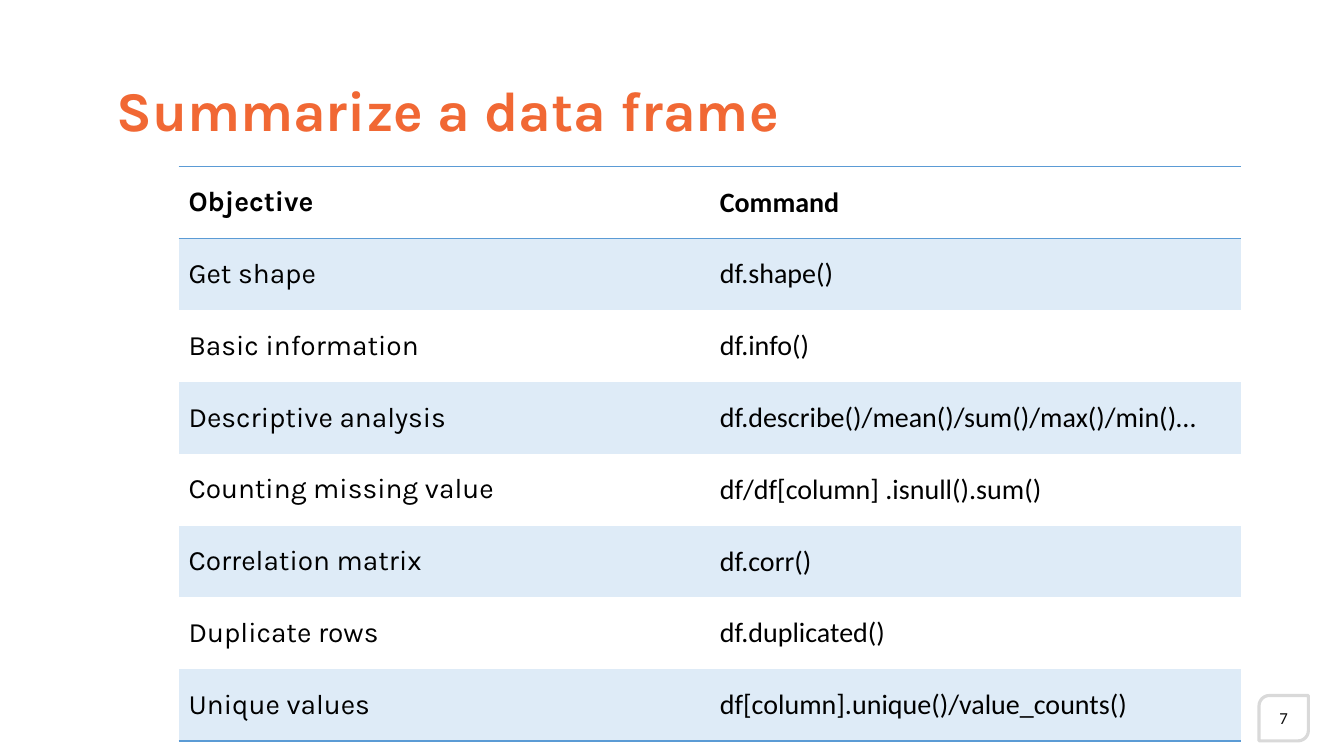
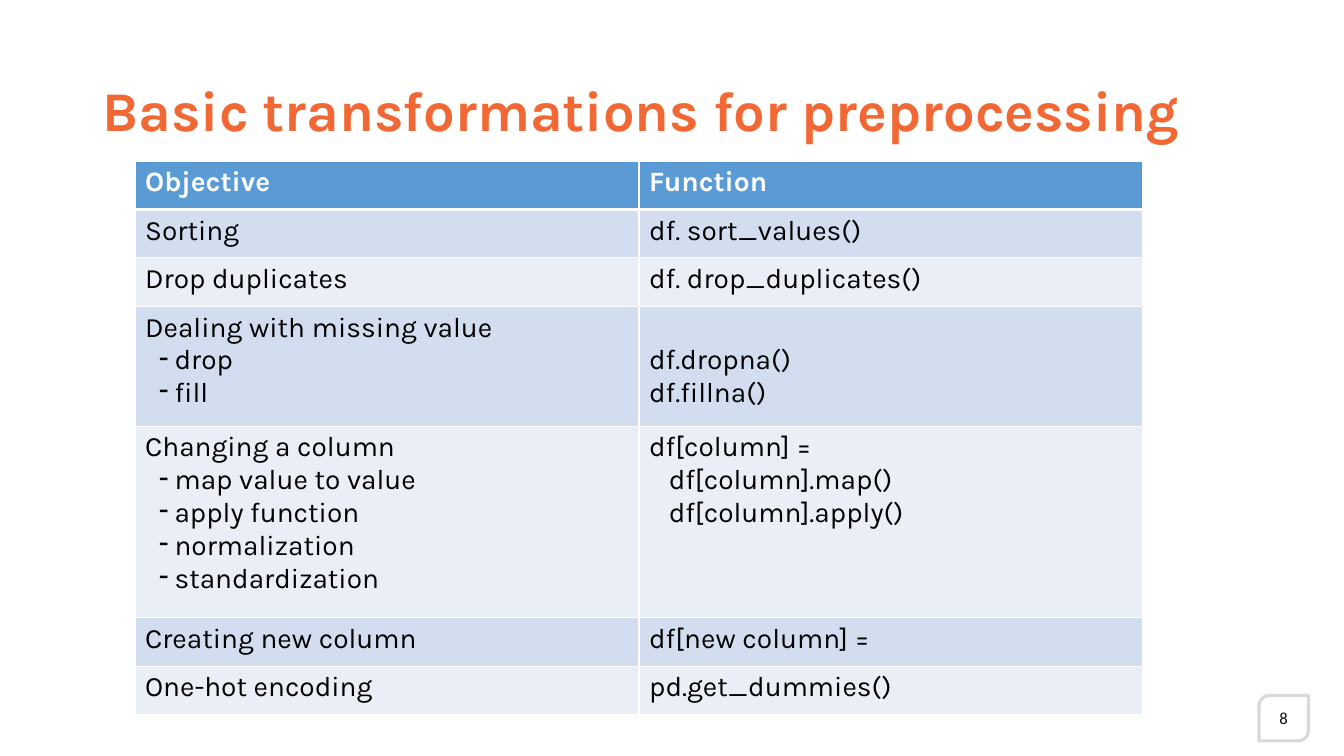
from dataclasses import dataclass

from lxml import etree
from pptx import Presentation
from pptx.dml.color import RGBColor
from pptx.enum.shapes import MSO_SHAPE
from pptx.enum.text import MSO_ANCHOR, PP_ALIGN
from pptx.oxml.ns import qn
from pptx.util import Pt

MIDDLE, TOP = MSO_ANCHOR.MIDDLE, MSO_ANCHOR.TOP
LEFT, CENTER = PP_ALIGN.LEFT, PP_ALIGN.CENTER
BADGE = MSO_SHAPE.ROUND_2_DIAG_RECTANGLE
NO_STYLE = "{2D5ABB26-0587-4C30-8999-92F81FD0307C}"


@dataclass(frozen=True)
class Theme:
    title: str = "F16834"
    text: str = "000000"
    number: str = "0D0D0D"
    badge: str = "D9D9D9"
    accent: str = "5B9BD5"
    pale: str = "DEEBF7"
    band: str = "D2DEEF"
    light: str = "EAEFF7"
    white: str = "FFFFFF"
    head_font: str = "Karla"
    code_font: str = "Calibri"
    title_size: int = 40
    body_size: int = 20
    number_size: int = 12


T = Theme()


def write(tf, lines, font=T.head_font, size=T.body_size, color=T.text,
          bold=False, align=LEFT, spacing=1.0):
    """Fill tf with lines; a (text, kind) line is a "dash" item or an "indent"."""
    lines = [lines] if isinstance(lines, str) else lines
    for i, line in enumerate(lines):
        text, kind = (line, None) if isinstance(line, str) else line
        p = tf.paragraphs[0] if i == 0 else tf.add_paragraph()
        p.alignment, p.line_spacing = align, spacing
        r = p.add_run()
        r.text = text
        r.font.name, r.font.size, r.font.bold = font, Pt(size), bold
        r.font.color.rgb = RGBColor.from_string(color)
        pPr = p._p.get_or_add_pPr()
        if kind == "dash":
            pPr.set("marL", str(Pt(21)))
            pPr.set("indent", str(-Pt(11)))
            etree.SubElement(pPr, qn("a:buChar"), char="-")
        elif kind == "indent":
            pPr.set("marL", str(Pt(14)))


def set_borders(cell, **edges):
    """Draw edges given as L, R, T or B = (colour, width in points)."""
    tcPr = cell._tc.get_or_add_tcPr()
    names = [edge for edge in "LRTB" if edge in edges]
    for i, edge in enumerate(names):
        color, width = edges[edge]
        ln = etree.Element(qn(f"a:ln{edge}"), w=str(Pt(width)))
        fill = etree.SubElement(ln, qn("a:solidFill"))
        etree.SubElement(fill, qn("a:srgbClr"), val=color)
        tcPr.insert(i, ln)


RULE, GRID = (T.accent, 1), (T.white, 1)
GRID_CELL = dict(L=GRID, R=GRID, T=GRID, B=GRID)

SLIDES = [
    dict(
        title="Summarize a data frame", title_indent=10, number="7",
        left=127.5, top=119, col_width=379.5, heights=[51.3] * 8,
        anchor=MIDDLE, fonts=(T.head_font, T.code_font),
        head_color=T.text, head_fill=None, bands=(T.pale, None),
        head_borders=dict(T=RULE, B=RULE), body_borders={},
        last_borders=dict(B=RULE), top_margins={},
        rows=[
            ("Objective", "Command"),
            ("Get shape", "df.shape()"),
            ("Basic information", "df.info()"),
            ("Descriptive analysis", "df.describe()/mean()/sum()/max()/min()…"),
            ("Counting missing value", "df/df[column] .isnull().sum()"),
            ("Correlation matrix", "df.corr()"),
            ("Duplicate rows", "df.duplicated()"),
            ("Unique values", "df[column].unique()/value_counts()"),
        ],
    ),
    dict(
        title="Basic transformations for preprocessing", title_indent=0, number="8",
        left=96.5, top=115, col_width=360,
        heights=[34.6, 34.6, 34.6, 85.7, 136.8, 34.6, 34.6],
        anchor=TOP, fonts=(T.head_font, T.head_font),
        head_color=T.white, head_fill=T.accent, bands=(T.band, T.light),
        head_borders=GRID_CELL | dict(B=(T.white, 3)), body_borders=GRID_CELL,
        last_borders=GRID_CELL,
        top_margins={(3, 1): 27},  # starts level with the first dash item
        rows=[
            ("Objective", "Function"),
            ("Sorting", "df. sort_values()"),
            ("Drop duplicates", "df. drop_duplicates()"),
            (["Dealing with missing value", ("drop", "dash"), ("fill", "dash")],
             ["df.dropna()", "df.fillna()"]),
            (["Changing a column", ("map value to value", "dash"),
              ("apply function", "dash"), ("normalization", "dash"),
              ("standardization", "dash")],
             ["df[column] =", ("df[column].map()", "indent"),
              ("df[column].apply()", "indent")]),
            ("Creating new column", "df[new column] ="),
            ("One-hot encoding", "pd.get_dummies()"),
        ],
    ),
]

prs = Presentation()
prs.slide_width, prs.slide_height = Pt(960), Pt(540)

for page in SLIDES:
    s = prs.slides.add_slide(prs.slide_layouts[6])

    # Page number badge
    sp = s.shapes.add_shape(BADGE, Pt(899.3), Pt(496.8), Pt(35.3), Pt(32.4))
    sp.adjustments[0], sp.adjustments[1] = 0.23, 0
    sp.shadow.inherit = False
    sp.fill.background()
    sp.line.color.rgb = RGBColor.from_string(T.badge)
    sp.line.width = Pt(2.25)
    tf = sp.text_frame
    tf.margin_left = tf.margin_right = 0
    tf.vertical_anchor = MIDDLE
    write(tf, page["number"], font=T.code_font, size=T.number_size,
          color=T.number, align=CENTER)

    # Title
    tf = s.shapes.add_textbox(Pt(66), Pt(28.8), Pt(828), Pt(104.4)).text_frame
    tf.word_wrap = True
    tf.vertical_anchor = MIDDLE
    tf.margin_left = Pt(7.2 + page["title_indent"])
    write(tf, page["title"], size=T.title_size, color=T.title, bold=True, spacing=0.9)

    # Table
    rows, heights = page["rows"], page["heights"]
    table = s.shapes.add_table(
        len(rows), 2, Pt(page["left"]), Pt(page["top"]),
        Pt(2 * page["col_width"]), Pt(sum(heights))).table
    table._tbl.tblPr.find(qn("a:tableStyleId")).text = NO_STYLE
    for column in table.columns:
        column.width = Pt(page["col_width"])

    for i, (row, height) in enumerate(zip(rows, heights)):
        table.rows[i].height = Pt(height)
        head = i == 0
        fill = page["head_fill"] if head else page["bands"][(i - 1) % 2]
        part = "head" if head else "last" if i == len(rows) - 1 else "body"
        for j, lines in enumerate(row):
            cell = table.cell(i, j)
            cell.vertical_anchor = page["anchor"]
            if (i, j) in page["top_margins"]:
                cell.margin_top = Pt(page["top_margins"][i, j])
            if fill:
                cell.fill.solid()
                cell.fill.fore_color.rgb = RGBColor.from_string(fill)
            else:
                cell.fill.background()
            set_borders(cell, **page[f"{part}_borders"])
            write(cell.text_frame, lines, font=page["fonts"][j], bold=head,
                  color=page["head_color"] if head else T.text)

prs.save("out.pptx")
